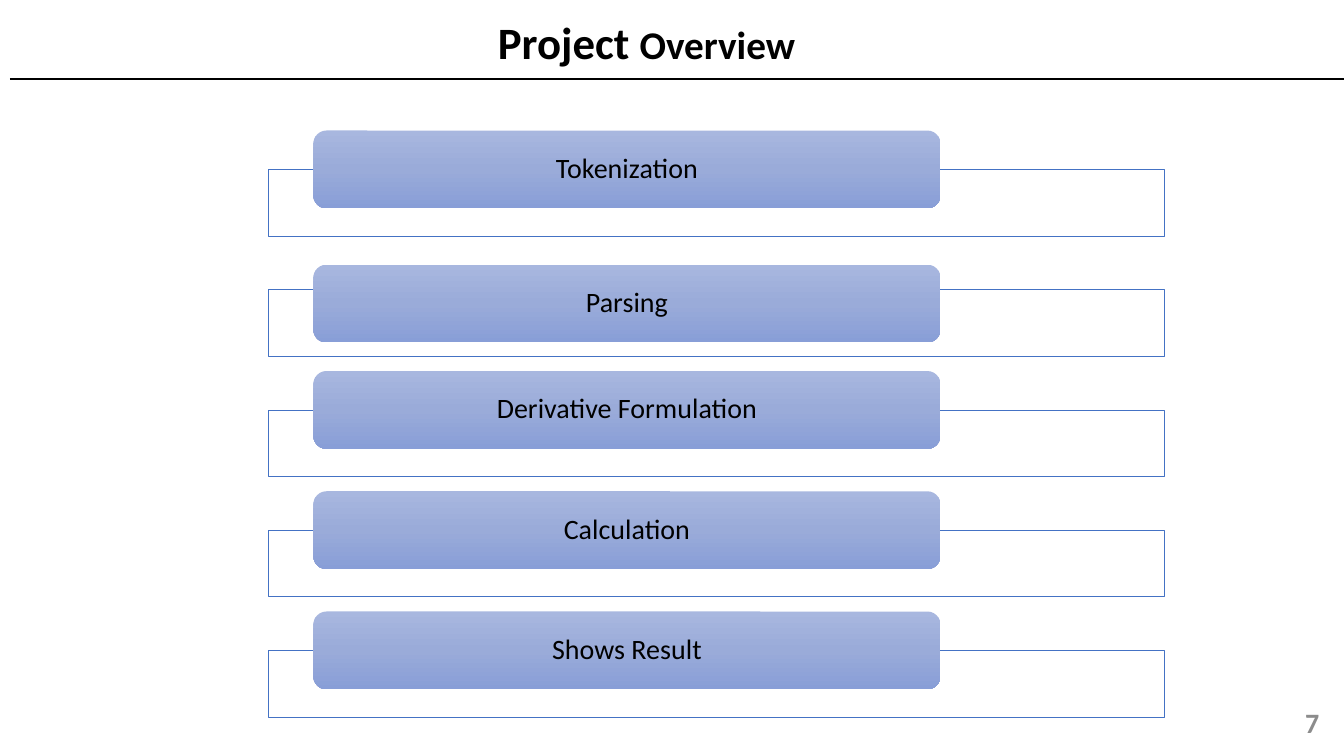
from copy import deepcopy
from dataclasses import dataclass
from lxml import etree
from pptx import Presentation
from pptx.dml.color import RGBColor
from pptx.enum.shapes import MSO_CONNECTOR, MSO_SHAPE
from pptx.enum.text import MSO_ANCHOR, PP_ALIGN
from pptx.oxml.ns import qn
from pptx.util import Cm, Pt

RECT, ROUND_RECT = MSO_SHAPE.RECTANGLE, MSO_SHAPE.ROUNDED_RECTANGLE
LEFT, CENTER, RIGHT = PP_ALIGN.LEFT, PP_ALIGN.CENTER, PP_ALIGN.RIGHT
TOP, MIDDLE = MSO_ANCHOR.TOP, MSO_ANCHOR.MIDDLE

TITLE = [("Project ", 32), ("Overview", 28)]
PAGE_NUMBER = "7"
# Step name, how far its bar rises above its frame (cm)
STEPS = [
    ("Tokenization", 0.98),
    ("Parsing", 0.63),
    ("Derivative Formulation", 0.98),
    ("Calculation", 0.98),
    ("Shows Result", 0.98),
]
FRAME_LEFT, FRAME_TOP, FRAME_W, FRAME_H = 6.76, 4.27, 22.58, 1.68
BAR_LEFT, BAR_W, BAR_H = 7.9, 15.8, 1.96
STEP_PITCH = 3.03


@dataclass(frozen=True)
class Theme:
    """Colours, font and type sizes of the slide."""
    font: str = "Calibri"
    text: str = "000000"
    muted: str = "8C8C8C"
    frame_fill: str = "FFFFFF"
    frame_line: str = "4472C4"
    bar: tuple = ((0, "A8B7DF"), (0.5, "9AABD9"), (1, "889ED7"))
    body: int = 20


THEME = Theme()


def rgb(value):
    """Turn a hex string into a colour."""
    return RGBColor.from_string(value)


def write(tf, runs, align, anchor, color=THEME.text, bold=False):
    """Fill a text frame with one paragraph of (text, size) runs."""
    tf.word_wrap = True
    tf.vertical_anchor = anchor
    p = tf.paragraphs[0]
    p.alignment = align
    for text, size in runs:
        r = p.add_run()
        r.text = text
        r.font.name, r.font.size, r.font.bold = THEME.font, Pt(size), bold
        r.font.color.rgb = rgb(color)
    return p


def add_box(s, kind, left, top, width, height):
    """Add a preset shape without shadow, measured in cm."""
    sp = s.shapes.add_shape(kind, Cm(left), Cm(top), Cm(width), Cm(height))
    sp.shadow.inherit = False
    return sp


def add_frame(s, top):
    """Add the outlined, slightly transparent frame behind a step."""
    sp = add_box(s, RECT, FRAME_LEFT, top, FRAME_W, FRAME_H)
    sp.fill.solid()
    sp.fill.fore_color.rgb = rgb(THEME.frame_fill)
    color = sp._element.spPr.find(qn("a:solidFill"))[0]
    etree.SubElement(color, qn("a:alpha"), val="90000")
    sp.line.color.rgb = rgb(THEME.frame_line)
    sp.line.width = Pt(0.5)


def add_bar(s, top, name):
    """Add the gradient bar that names a step."""
    sp = add_box(s, ROUND_RECT, BAR_LEFT, top, BAR_W, BAR_H)
    sp.line.fill.background()
    sp.fill.gradient()
    sp.fill.gradient_angle = 270
    first = next(sp._element.spPr.iter(qn("a:gs")))
    first.addnext(deepcopy(first))
    for stop, (position, color) in zip(sp.fill.gradient_stops, THEME.bar):
        stop.position = position
        stop.color.rgb = rgb(color)
    tf = sp.text_frame
    tf.margin_left = tf.margin_right = Cm(0.7)
    tf.margin_top = tf.margin_bottom = 0
    p = write(tf, [(name, THEME.body)], CENTER, MIDDLE)
    p.line_spacing = 0.9


def add_rule(s):
    """Add the line under the title."""
    line = s.shapes.add_connector(
        MSO_CONNECTOR.STRAIGHT, Cm(0.25), Cm(1.98), Cm(33.87), Cm(1.98))
    line.line.color.rgb = rgb(THEME.text)
    line.line.width = Pt(1.5)
    etree.SubElement(line._element.spPr, qn("a:effectLst"))


prs = Presentation()
prs.slide_width, prs.slide_height = Cm(33.87), Cm(19.05)
s = prs.slides.add_slide(prs.slide_layouts[5])

title = s.shapes.title
title.left, title.top, title.width, title.height = Cm(12.29), Cm(0.25), Cm(11.53), Cm(1.63)
write(title.text_frame, TITLE, LEFT, TOP, bold=True)
add_rule(s)

for i, (name, rise) in enumerate(STEPS):
    top = FRAME_TOP + i * STEP_PITCH
    add_frame(s, top)
    add_bar(s, top - rise, name)

number = s.shapes.add_textbox(Cm(25.88), Cm(17.7), Cm(7.62), Cm(1.02))
write(number.text_frame, [(PAGE_NUMBER, THEME.body)], RIGHT, MIDDLE, THEME.muted, bold=True)

prs.save("out.pptx")
